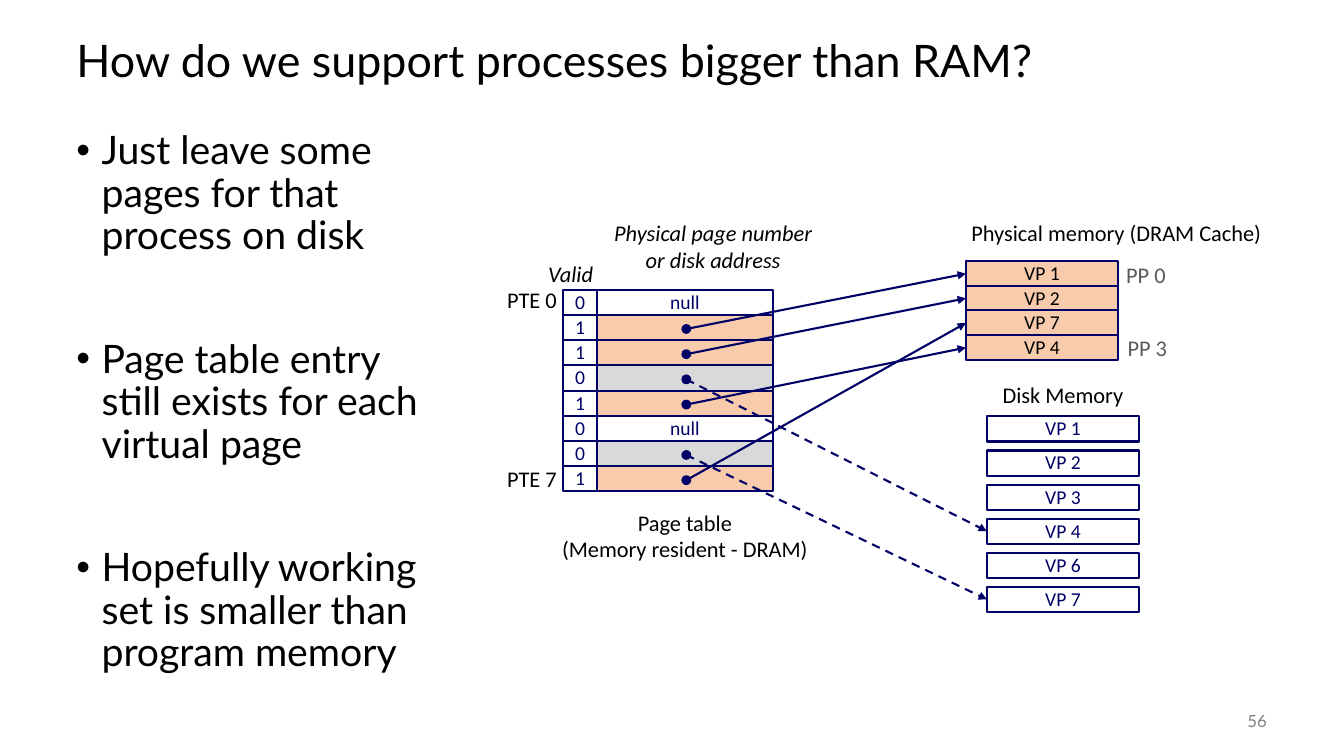
"""Build a slide on page tables that map processes bigger than RAM."""
from lxml.etree import SubElement
from pptx import Presentation
from pptx.dml.color import RGBColor
from pptx.enum.dml import MSO_LINE
from pptx.enum.shapes import MSO_CONNECTOR, MSO_SHAPE
from pptx.enum.text import MSO_ANCHOR, PP_ALIGN
from pptx.oxml.ns import qn
from pptx.util import Pt

COLOURS = {
    "black": "000000", "navy": "000066", "white": "FFFFFF", "peach": "F8CBAD",
    "silver": "D9D9D9", "grey": "808080", "slate": "595959",
}
LEFT, CENTER, RIGHT = PP_ALIGN.LEFT, PP_ALIGN.CENTER, PP_ALIGN.RIGHT
TOP, MIDDLE = MSO_ANCHOR.TOP, MSO_ANCHOR.MIDDLE


def write(box, text, size, colour, align=CENTER, anchor=MIDDLE,
          font="Calibri", spacing=0.98, italic=False):
    frame = box.text_frame
    frame.text = text
    frame.word_wrap = align == LEFT
    frame.vertical_anchor = anchor
    for para in frame.paragraphs:
        para.alignment, para.line_spacing = align, spacing
        for span in para.runs:
            for name, value in {"name": font, "size": Pt(size), "italic": italic}.items():
                setattr(span.font, name, value)
            span.font.color.rgb = RGBColor.from_string(COLOURS[colour])


def add_cell(left, top, width, height, fill, shape=MSO_SHAPE.RECTANGLE, weight=1.5):
    cell = page.shapes.add_shape(shape, Pt(left), Pt(top), Pt(width), Pt(height))
    cell.shadow.inherit = False
    cell.fill.solid()
    cell.fill.fore_color.rgb = RGBColor.from_string(COLOURS[fill])
    cell.line.color.rgb = RGBColor.from_string(COLOURS["navy"])
    cell.line.width = Pt(weight)
    return cell


deck = Presentation()
deck.slide_width, deck.slide_height = Pt(960), Pt(540)
page = deck.slides.add_slide(deck.slide_layouts[6])

title = page.shapes.add_textbox(Pt(47.5), Pt(18), Pt(864), Pt(54))
write(title, "How do we support processes bigger than RAM?", 32, "black",
      LEFT, font="Lato", spacing=0.9)

points = [
    "Just leave some pages for that process on disk",
    "Page table entry still exists for each virtual page",
    "Hopefully working set is smaller than program memory",
]
body = page.shapes.add_textbox(Pt(47.5), Pt(90), Pt(278), Pt(396))
write(body, "\n".join(points), 28, "black", LEFT, TOP, "Lato", 0.9)
for index, para in enumerate(body.text_frame.paragraphs):
    properties = para._p.get_or_add_pPr()
    properties.set("marL", str(Pt(18)))
    properties.set("indent", str(-Pt(18)))
    SubElement(properties, qn("a:buFont")).set("typeface", "Arial")
    SubElement(properties, qn("a:buChar")).set("char", "•")
    if index:
        para.space_before = Pt(58.25)

number = page.shapes.add_textbox(Pt(840), Pt(500.5), Pt(72), Pt(28.8))
write(number, "56", 12, "grey", RIGHT, font="Lato", spacing=1)

labels = [
    ("Page table\n(Memory resident - DRAM)", 391, 360.75, 196.5, 45, "black", CENTER, TOP, False),
    ("Physical memory (DRAM Cache)", 682.5, 154, 229.75, 26.5, "black", CENTER, TOP, False),
    ("Disk Memory", 708.5, 269.25, 101.5, 26.5, "black", CENTER, TOP, False),
    ("Valid", 384.5, 183, 54, 26.5, "black", LEFT, TOP, True),
    ("Physical page number\nor disk address", 431.25, 154, 156.25, 45, "black", CENTER, MIDDLE, True),
    ("PTE 0", 354.25, 201.5, 50.5, 26.5, "black", RIGHT, MIDDLE, False),
    ("PTE 7", 354.25, 329, 50.5, 26.5, "black", RIGHT, MIDDLE, False),
    ("PP 0", 797, 183.5, 43, 26.5, "slate", CENTER, MIDDLE, False),
    ("PP 3", 798, 236, 43, 26.5, "slate", CENTER, MIDDLE, False),
]
for text, left, top, width, height, colour, align, anchor, italic in labels:
    label = page.shapes.add_textbox(Pt(left), Pt(top), Pt(width), Pt(height))
    write(label, text, 16, colour, align, anchor, italic=italic)

frames = {}
memories = [
    ("memory", [1, 2, 7, 4], 690, 186.5, 17.6, "peach", "black"),
    ("disk", [1, 2, 3, 4, 6, 7], 705, 297.4, 24.35, "white", "navy"),
]
for memory, numbers, left, top, pitch, fill, colour in memories:
    for index, virtual_page in enumerate(numbers):
        frame = add_cell(left, top + index * pitch, 108.75, 18, fill)
        write(frame, f"VP {virtual_page}", 14, colour)
        frames[memory, virtual_page] = frame

entries = [
    None, ("memory", 1), ("memory", 2), ("disk", 4),
    ("memory", 4), None, ("disk", 7), ("memory", 7),
]
row_height = 18
row_tops = [207 + row * row_height for row in range(len(entries))]
for top, target in zip(row_tops, entries):
    place = target[0] if target else "null"
    fill = {"memory": "peach", "disk": "silver", "null": "white"}[place]
    valid = add_cell(402.5, top, 23.75, row_height, "white")
    write(valid, "1" if place == "memory" else "0", 14, "navy")
    entry = add_cell(426.25, top, 126, row_height, fill)
    if not target:
        write(entry, "null", 14, "navy")

dot_x, dot_size = 490.25, 6
for top, target in zip(row_tops, entries):
    if not target:
        continue
    dot_y = top + row_height / 2 + 1
    arrow = page.shapes.add_connector(
        MSO_CONNECTOR.STRAIGHT, Pt(dot_x), Pt(dot_y), Pt(690), Pt(dot_y))
    arrow.end_connect(frames[target], 1)
    arrow.line.color.rgb = RGBColor.from_string(COLOURS["navy"])
    arrow.line.width = Pt(1.5)
    if target[0] == "disk":
        arrow.line.dash_style = MSO_LINE.DASH
    SubElement(arrow.line._get_or_add_ln(), qn("a:tailEnd")).set("type", "triangle")
    SubElement(arrow._element.spPr, qn("a:effectLst"))
    add_cell(dot_x - dot_size / 2, dot_y - dot_size / 2, dot_size, dot_size,
             "navy", MSO_SHAPE.OVAL, 1)

deck.save("out.pptx")
